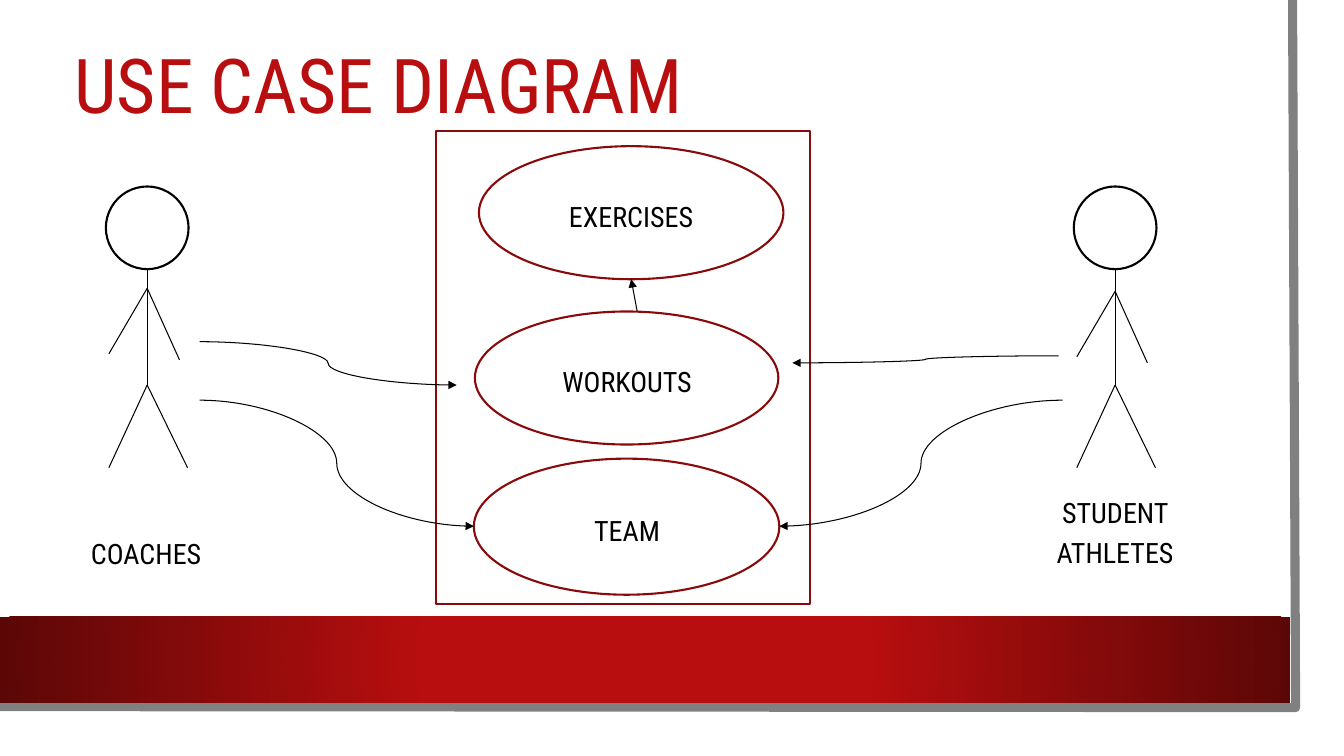
from lxml import etree
from pptx import Presentation
from pptx.dml.color import RGBColor
from pptx.enum.shapes import MSO_CONNECTOR, MSO_SHAPE
from pptx.enum.text import MSO_ANCHOR, PP_ALIGN
from pptx.oxml import parse_xml
from pptx.oxml.ns import qn
from pptx.util import Inches, Pt

RECT, OVAL = MSO_SHAPE.RECTANGLE, MSO_SHAPE.OVAL
LINE, CURVE = MSO_CONNECTOR.STRAIGHT, MSO_CONNECTOR.CURVE
MIDDLE = MSO_ANCHOR.MIDDLE
LEFT, CENTER = PP_ALIGN.LEFT, PP_ALIGN.CENTER
WHITE = RGBColor(0xFF, 0xFF, 0xFF)
BLACK = RGBColor(0, 0, 0)
GRAY = RGBColor(0x80, 0x80, 0x80)
RED = RGBColor(0xB8, 0x0E, 0x0F)
DARK = RGBColor(0x88, 0x0A, 0x0B)
DEEP = RGBColor(0x5C, 0x07, 0x07)
FONT = "Roboto Condensed"

deck = Presentation()
deck.slide_width, deck.slide_height = Inches(13.33), Inches(7.5)
slide = deck.slides.add_slide(deck.slide_layouts[6])
shapes = slide.shapes


def add_box(kind, box, edge=None):
    shape = shapes.add_shape(kind, *map(Inches, box))
    shape.shadow.inherit = False
    shape.fill.solid()
    shape.fill.fore_color.rgb = WHITE
    if edge is None:
        shape.line.fill.background()
    else:
        shape.line.color.rgb = edge
        shape.line.width = Pt(1.5)
    return shape


def add_line(kind, start, end, arrow=False):
    line = shapes.add_connector(kind, *map(Inches, (*start, *end)))
    line.line.color.rgb = BLACK
    line.line.width = Pt(0.75)
    if arrow:
        etree.SubElement(line.line._get_or_add_ln(), qn("a:tailEnd"), type="triangle")
    etree.SubElement(line._element.spPr, qn("a:effectLst"))


add_box(RECT, (0, 0, 13.1, 7.27))

pen = shapes.build_freeform(Inches(12.82), 0)
pen.add_line_segments([(Inches(12.85), Inches(7.02)), (Inches(-0.03), Inches(7.01))], close=False)
frame = pen.convert_to_shape()
frame.shadow.inherit = False
frame.fill.background()
frame.line.color.rgb = GRAY
frame.line.width = Pt(6.5)

band = add_box(RECT, (0, 6.12, 12.8, 0.85))
solid = band._element.spPr.find(qn("a:solidFill"))
solid.getparent().replace(solid, parse_xml(
    '<a:gradFill xmlns:a="http://schemas.openxmlformats.org/drawingml/2006/main"><a:gsLst>'
    f'<a:gs pos="34000"><a:srgbClr val="{RED}"/></a:gs>'
    f'<a:gs pos="100000"><a:srgbClr val="{DEEP}"/></a:gs></a:gsLst>'
    '<a:path path="circle"><a:fillToRect l="50000" t="50000" r="50000" b="50000"/></a:path>'
    '</a:gradFill>'))

add_box(RECT, (4.32, 1.3, 3.71, 4.69), DARK)
for case in [(4.75, 1.45, 3.02, 1.32), (4.71, 3.09, 3.01, 1.32), (4.7, 4.55, 3.03, 1.35)]:
    add_box(OVAL, case, DARK)

for mid, neck in [(1.46, 2.86), (11.06, 2.89)]:
    add_box(OVAL, (mid - 0.41, 1.85, 0.82, 0.82), BLACK)
    hip = (mid, 3.82)
    add_line(LINE, (mid, 2.66), hip)
    for foot in (-0.38, 0.4):
        add_line(LINE, hip, (mid + foot, 4.64))
    for hand, drop in [(-0.38, 0.65), (0.32, 0.71)]:
        add_line(LINE, (mid, neck), (mid + hand, neck + drop))

for kind, start, end in [
    (CURVE, (1.98, 3.97), (4.7, 5.22)),
    (CURVE, (10.54, 3.97), (7.73, 5.22)),
    (CURVE, (10.5, 3.53), (7.86, 3.6)),
    (CURVE, (1.98, 3.39), (4.53, 3.82)),
    (LINE, (6.32, 3.09), (6.26, 2.77)),
]:
    add_line(kind, start, end, arrow=True)

SMALL = (1.66, 1.16)
for text, spot, size, points, color, align, space in [
    ("USE CASE DIAGRAM", (0.64, 0.25), (11.37, 1.26), 54, RED, LEFT, 0.9),
    ("EXERCISES", (5.43, 1.53), SMALL, 20, BLACK, CENTER, 1.2),
    ("WORKOUTS", (5.39, 3.17), SMALL, 20, BLACK, CENTER, 1.2),
    ("TEAM", (5.39, 4.65), SMALL, 20, BLACK, CENTER, 1.2),
    ("COACHES", (0.62, 4.88), SMALL, 20, BLACK, CENTER, 1.2),
    ("STUDENT ATHLETES", (10.23, 4.67), SMALL, 20, BLACK, CENTER, 1.2),
]:
    label = shapes.add_textbox(*map(Inches, spot + size)).text_frame
    label.word_wrap = True
    label.vertical_anchor = MIDDLE
    label.text = text
    para = label.paragraphs[0]
    para.alignment = align
    para.line_spacing = space
    font = para.runs[0].font
    font.name, font.size, font.color.rgb = FONT, Pt(points), color

deck.save("out.pptx")
